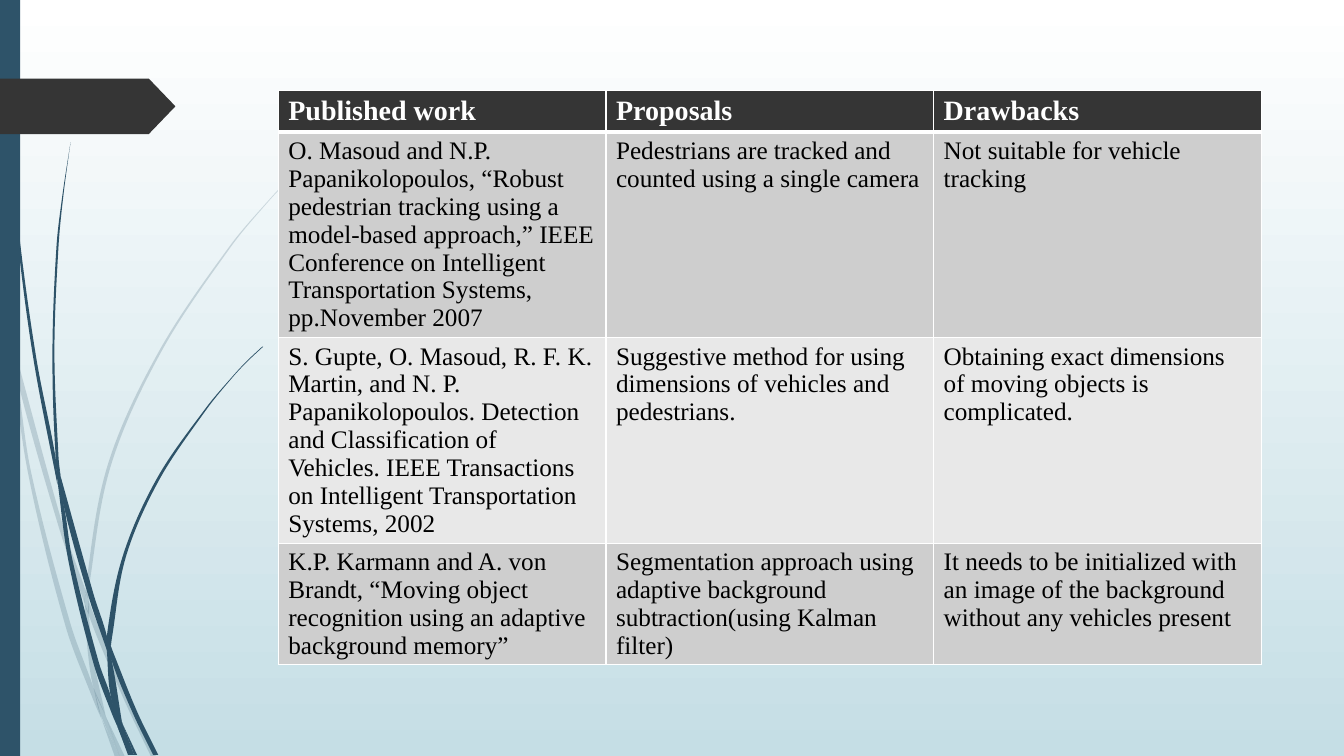
import dataclasses

import lxml.etree
import pptx
import pptx.dml.color
import pptx.enum.shapes
import pptx.oxml.ns
import pptx.util

Inches = pptx.util.Inches
qn = pptx.oxml.ns.qn


@dataclasses.dataclass(frozen=True)
class Theme:
    font: str = "Times New Roman"
    header_size: int = 20
    body_size: int = 18
    sky_top: str = "FFFFFF"
    sky_bottom: str = "C5DEE5"
    grass: str = "2E5369"
    dark: str = "353535"
    white: str = "FFFFFF"
    black: str = "000000"
    bands: tuple = ("CECECE", "E8E8E8")


# Each leaf is its left and right edge, as (x, y) points from top to bottom.
PALE_LEAVES = [
    ([(0, 2.99), (0.1, 3.44), (0.11, 3.5)], [(0, 2.82), (0.09, 3.22), (0.11, 3.5)]),
    ([(0.14, 3.45), (0.17, 3.76), (0.58, 5.22), (0.84, 5.99)],
     [(0.14, 3.45), (0.62, 5.2), (0.85, 5.86)]),
    ([(0.88, 5.96), (0.88, 6.1), (1.23, 6.94), (1.5, 7.51)],
     [(0.88, 5.96), (0.92, 6.07), (1.27, 6.92), (1.55, 7.51)]),
    ([(1.05, 7.11), (1.19, 7.51)], [(1.05, 7.11), (1.24, 7.51)]),
    ([(0.11, 3.5), (0.28, 4.7), (0.65, 6.21), (0.92, 6.93), (1.01, 7.14)],
     [(0.11, 3.5), (0.17, 3.76), (0.31, 4.69), (0.7, 6.19), (0.93, 6.83), (1.01, 7.14)]),
    ([(0.84, 5.99), (0.87, 6.46), (0.93, 6.83), (1.05, 7.11)],
     [(0.84, 5.99), (0.88, 6.1), (0.91, 6.46), (1.05, 7.11)]),
    ([(3.12, 1.53), (2.89, 1.75), (2.68, 1.97), (2.28, 2.44), (1.58, 3.48), (1.07, 4.61),
      (0.85, 5.84), (0.88, 5.96)],
     [(3.12, 1.53), (2.9, 1.75), (2.68, 1.98), (2.29, 2.45), (1.6, 3.49), (1.1, 4.62),
      (0.88, 5.84), (0.88, 5.96)]),
    ([(1.01, 7.14), (1.14, 7.51)], [(1.01, 7.14), (1.19, 7.51)]),
    ([(0.85, 5.86), (0.84, 5.99), (0.88, 6.1)], [(0.85, 5.86), (0.88, 5.96), (0.88, 6.1)]),
    ([(0.93, 6.83), (0.99, 7.07), (1.19, 7.51)], [(0.93, 6.83), (1.05, 7.11), (1.19, 7.51)]),
]
DARK_LEAVES = [
    ([(0.03, 0), (0.04, 0.48), (0.07, 1.1), (0.17, 2.33), (0.33, 3.55), (0.57, 4.81)],
     [(0.04, 0), (0.05, 0.48), (0.08, 1.09), (0.19, 2.32), (0.36, 3.55), (0.55, 4.53),
      (0.57, 4.81)]),
    ([(0.6, 4.72), (0.64, 5.05), (0.88, 5.92), (1.06, 6.45)],
     [(0.6, 4.72), (0.93, 5.9), (1.06, 6.31), (1.06, 6.45)]),
    ([(1.1, 6.41), (1.11, 6.56), (1.32, 7.08), (1.52, 7.49)],
     [(1.1, 6.41), (1.13, 6.49), (1.36, 7.06), (1.57, 7.49)]),
    ([(0.57, 4.77), (0.68, 5.57), (0.93, 6.59), (1.11, 7.08), (1.17, 7.22)],
     [(0.57, 4.77), (0.64, 5.05), (0.72, 5.56), (0.98, 6.57), (1.1, 6.91), (1.17, 7.22)]),
    ([(0.7, 1.41), (0.62, 1.93), (0.56, 2.45), (0.52, 3.49), (0.55, 4.49), (0.6, 4.72)],
     [(0.7, 1.41), (0.63, 1.93), (0.58, 2.45), (0.54, 3.49), (0.58, 4.53), (0.6, 4.72)]),
    ([(1.22, 7.19), (1.33, 7.49)], [(1.22, 7.19), (1.36, 7.49)]),
    ([(0.55, 4.49), (0.57, 4.77), (0.64, 5.05)], [(0.55, 4.49), (0.6, 4.72), (0.64, 5.05)]),
    ([(2.6, 3.44), (2.45, 3.58), (2.31, 3.73), (2.04, 4.05), (1.56, 4.74), (1.22, 5.51),
      (1.06, 6.31), (1.1, 6.41)],
     [(2.61, 3.44), (2.45, 3.59), (2.31, 3.74), (2.05, 4.06), (1.58, 4.76), (1.25, 5.52),
      (1.11, 6.33), (1.1, 6.41)]),
    ([(1.17, 7.22), (1.27, 7.49)], [(1.17, 7.22), (1.31, 7.49)]),
    ([(1.06, 6.45), (1.1, 6.91), (1.22, 7.19)],
     [(1.06, 6.45), (1.11, 6.56), (1.21, 7.16), (1.22, 7.19)]),
    ([(1.06, 6.31), (1.06, 6.45), (1.11, 6.56)], [(1.06, 6.31), (1.1, 6.41), (1.11, 6.56)]),
    ([(1.1, 6.91), (1.17, 7.22), (1.3, 7.49)], [(1.1, 6.91), (1.22, 7.19), (1.33, 7.49)]),
]

HEADERS = ["Published work", "Proposals", "Drawbacks"]
# A line break inside a cell starts a new paragraph.
WORKS = [
    ["O. Masoud and N.P. Papanikolopoulos, “Robust pedestrian tracking using a model-based "
     "approach,” IEEE Conference on Intelligent Transportation Systems, pp.November 2007",
     "Pedestrians are tracked and counted using a single camera",
     "Not suitable for vehicle tracking"],
    ["S. Gupte, O. Masoud, R. F. K. Martin, and N. P. Papanikolopoulos. Detection and "
     "Classification of\nVehicles. IEEE Transactions on Intelligent Transportation "
     "Systems, 2002",
     "Suggestive method for using dimensions of vehicles and pedestrians.",
     "Obtaining exact dimensions of moving objects is complicated."],
    ["K.P. Karmann and A. von Brandt, “Moving object recognition using an adaptive "
     "background memory”",
     "Segmentation approach using adaptive background subtraction(using Kalman filter)",
     "It needs to be initialized with an image of the background without any vehicles "
     "present"],
]


def color(code):
    return pptx.dml.color.RGBColor.from_string(code)


def edge_controls(points):
    """Give the two Bezier control points of each step along a smooth edge."""
    slopes = []
    for index in range(len(points)):
        (x0, y0), *_, (x1, y1) = points[max(index - 1, 0):index + 2]
        slopes.append((x1 - x0) / (y1 - y0))
    controls = []
    for index, ((x0, y0), (x1, y1)) in enumerate(zip(points, points[1:])):
        third = (y1 - y0) / 3
        controls.append([(x0 + third * slopes[index], y0 + third),
                         (x1 - third * slopes[index + 1], y1 - third)])
    return controls


class SlideBuilder:
    def __init__(self, presentation, theme):
        self.theme = theme
        self.slide = presentation.slides.add_slide(presentation.slide_layouts[6])

    def background(self):
        fill = self.slide.background.fill
        fill.gradient()
        fill.gradient_angle = 270
        for stop, code in zip(fill.gradient_stops,
                              (self.theme.sky_top, self.theme.sky_bottom)):
            stop.color.rgb = color(code)

    def paint(self, shape, code, opacity=100):
        shape.shadow.inherit = False
        shape.fill.solid()
        shape.fill.fore_color.rgb = color(code)
        shape.line.fill.background()
        if opacity < 100:
            rgb = shape.fill._xPr.find(".//" + qn("a:srgbClr"))
            lxml.etree.SubElement(rgb, qn("a:alpha"), val=str(opacity * 1000))

    def leaf(self, left_edge, right_edge, opacity=100):
        points = left_edge + right_edge[::-1]
        back = [pair[::-1] for pair in edge_controls(right_edge)[::-1]]
        controls = edge_controls(left_edge) + [None] + back
        builder = self.slide.shapes.build_freeform(*map(Inches, points[0]))
        builder.add_line_segments([(Inches(x), Inches(y)) for x, y in points[1:]])
        shape = builder.convert_to_shape()
        self.bend(shape, controls)
        self.paint(shape, self.theme.grass, opacity)

    def bend(self, shape, controls):
        """Turn the straight steps of an outline into curves; None stays straight."""
        steps = list(shape._element.iter(qn("a:lnTo")))
        for step, pair in zip(steps, controls):
            if pair is None:
                continue
            curve = lxml.etree.Element(qn("a:cubicBezTo"))
            for x, y in pair:
                lxml.etree.SubElement(curve, qn("a:pt"), x=str(Inches(x) - shape.left),
                                      y=str(Inches(y) - shape.top))
            curve.append(step[0])
            step.getparent().replace(step, curve)

    def block(self, kind, left, top, width, height, code):
        shape = self.slide.shapes.add_shape(
            kind, Inches(left), Inches(top), Inches(width), Inches(height))
        self.paint(shape, code)
        return shape

    def table(self, left, top, column_width, row_heights, rows):
        frame = self.slide.shapes.add_table(
            len(rows), len(rows[0]), Inches(left), Inches(top),
            Inches(column_width * len(rows[0])), Inches(sum(row_heights)))
        for row_index, (row, height) in enumerate(zip(rows, row_heights)):
            frame.table.rows[row_index].height = Inches(height)
            for column_index, text in enumerate(row):
                self.cell(frame.table.cell(row_index, column_index), text, row_index)

    def cell(self, cell, text, row_index):
        theme = self.theme
        header = row_index == 0
        cell.fill.solid()
        cell.fill.fore_color.rgb = color(
            theme.dark if header else theme.bands[(row_index - 1) % 2])
        self.borders(cell, top=3 if row_index == 1 else 1, bottom=3 if header else 1)
        frame = cell.text_frame
        for index, line in enumerate(text.split("\n")):
            paragraph = frame.add_paragraph() if index else frame.paragraphs[0]
            run = paragraph.add_run()
            run.text = line
            run.font.name = theme.font
            run.font.bold = header
            run.font.size = pptx.util.Pt(theme.header_size if header else theme.body_size)
            run.font.color.rgb = color(theme.white if header else theme.black)

    def borders(self, cell, top, bottom):
        properties = cell._tc.get_or_add_tcPr()
        widths = {"a:lnL": 1, "a:lnR": 1, "a:lnT": top, "a:lnB": bottom}
        for position, (tag, width) in enumerate(widths.items()):
            line = lxml.etree.Element(qn(tag), w=str(pptx.util.Pt(width)))
            fill = lxml.etree.SubElement(line, qn("a:solidFill"))
            lxml.etree.SubElement(fill, qn("a:srgbClr"), val=self.theme.white)
            properties.insert(position, line)


def main():
    presentation = pptx.Presentation()
    presentation.slide_width = Inches(13.33)
    presentation.slide_height = Inches(7.5)
    theme = Theme()
    builder = SlideBuilder(presentation, theme)
    builder.background()
    for leaves, opacity in ((PALE_LEAVES, 20), (DARK_LEAVES, 100)):
        for left_edge, right_edge in leaves:
            builder.leaf(left_edge, right_edge, opacity)
    kinds = pptx.enum.shapes.MSO_SHAPE
    builder.block(kinds.RECTANGLE, 0, 0, 0.2, 7.5, theme.grass)
    tag = builder.block(kinds.PENTAGON, 0, 0.78, 1.74, 0.55, theme.dark)
    tag.adjustments[0] = 0.48
    builder.table(2.76, 0.9, 3.25, [0.39, 2.04, 2.04, 1.2], [HEADERS] + WORKS)
    presentation.save("out.pptx")


if __name__ == "__main__":
    main()
